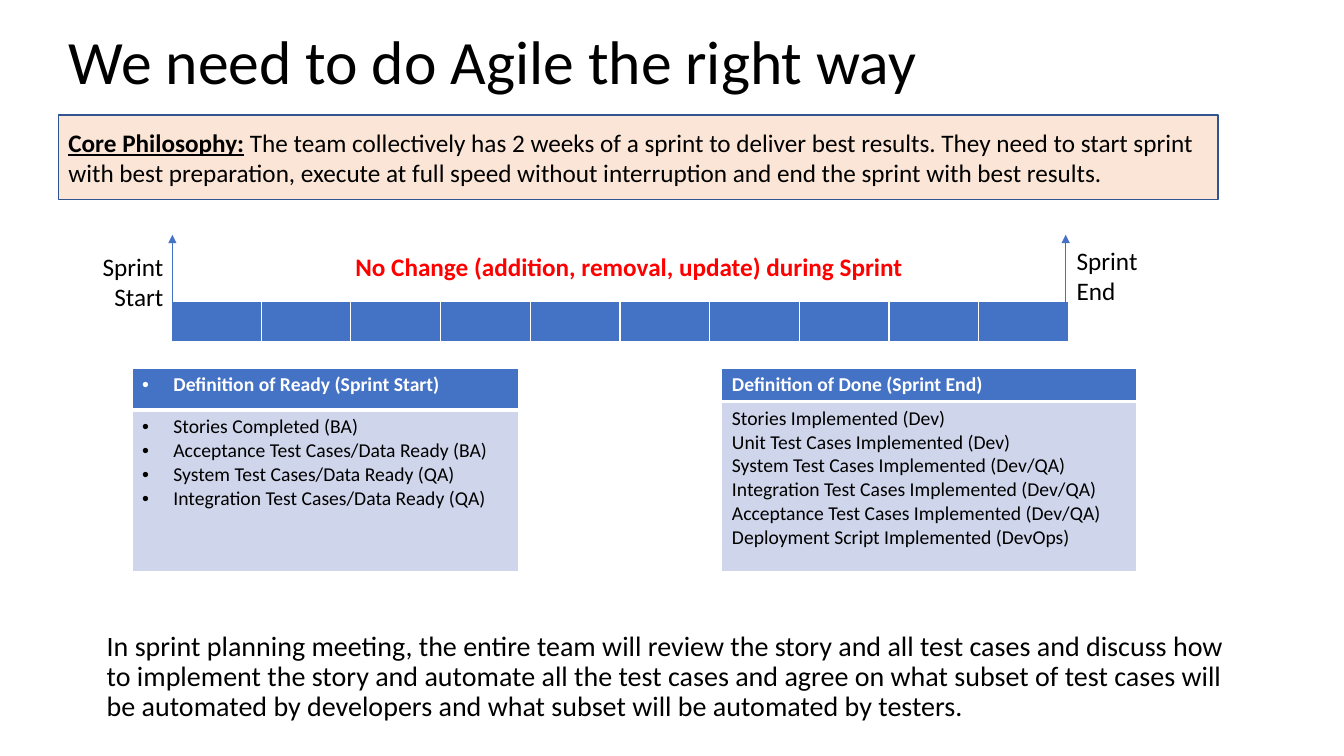
from lxml.etree import SubElement
from pptx import Presentation
from pptx.dml.color import RGBColor as RGB
from pptx.enum.shapes import MSO_CONNECTOR as LINE, MSO_SHAPE as SHAPE
from pptx.enum.text import MSO_ANCHOR as ANCHOR, PP_ALIGN as ALIGN
from pptx.oxml.ns import qn
from pptx.util import Inches, Pt

COLORS = {"text": "000000", "white": "FFFFFF", "warning": "FF0000", "blue": "4472C4",
          "body": "CFD5EA", "banner": "FBE5D6", "banner_line": "325491"}

TITLE = "We need to do Agile the right way"
PHILOSOPHY = ("Core Philosophy:",
              " The team collectively has 2 weeks of a sprint to deliver best results. "
              "They need to start sprint with best preparation, execute at full speed "
              "without interruption and end the sprint with best results.")
RULE = "No Change (addition, removal, update) during Sprint"
PLANNING = ("In sprint planning meeting, the entire team will review the story and all test "
            "cases and discuss how to implement the story and automate all the test cases "
            "and agree on what subset of test cases will be automated by developers and "
            "what subset will be automated by testers.")
MILESTONES = [  # words, label left, label top, arrow x, alignment
    (("Sprint", "Start"), 0.91, 2.44, 1.71, ALIGN.RIGHT),
    (("Sprint", "End"), 10.58, 2.38, 10.57, ALIGN.LEFT),
]
DEFINITIONS = [
    {"heading": "Definition of Ready (Sprint Start)",
     "items": ["Stories Completed (BA)", "Acceptance Test Cases/Data Ready (BA)",
               "System Test Cases/Data Ready (QA)", "Integration Test Cases/Data Ready (QA)"],
     "left": 1.31, "width": 3.83, "rows": [0.42, 1.6], "bulleted": True},
    {"heading": "Definition of Done (Sprint End)",
     "items": ["Stories Implemented (Dev)", "Unit Test Cases Implemented (Dev)",
               "System Test Cases Implemented (Dev/QA)",
               "Integration Test Cases Implemented (Dev/QA)",
               "Acceptance Test Cases Implemented (Dev/QA)",
               "Deployment Script Implemented (DevOps)"],
     "left": 7.16, "width": 4.11, "rows": [0.33, 1.69], "bulleted": False},
]
SPRINT_DAYS = 10
DAY_WIDTH = 0.89
ARROW_BOTTOM, ARROW_TOP = 3.05, 2.33
BORDERS = {"lnL": 1, "lnR": 1, "lnT": 1, "lnB": 1}
HEADER_BORDERS = BORDERS | {"lnB": 3}


def rgb(name):
    """Look up a named colour."""
    return RGB.from_string(COLORS[name])


def box(*lengths):
    """Turn left, top, width and height in inches into lengths."""
    return [Inches(length) for length in lengths]


def style(run, size, color="text", **extras):
    """Format one run of text."""
    for key, value in {"name": "Calibri", "size": Pt(size), **extras}.items():
        setattr(run.font, key, value)
    run.font.color.rgb = rgb(color)


def write(frame, lines, size, color="text", paragraph_format=None, **extras):
    """Write one paragraph per line and return the paragraphs."""
    for number, line in enumerate(lines):
        paragraph = frame.add_paragraph() if number else frame.paragraphs[0]
        for key, value in (paragraph_format or {}).items():
            setattr(paragraph, key, value)
        run = paragraph.add_run()
        run.text = line
        style(run, size, color, **extras)
    return frame.paragraphs


def add_text(place, lines, size, wrap=True, **formats):
    """Add a text box."""
    frame = slide.shapes.add_textbox(*box(*place)).text_frame
    frame.word_wrap = wrap
    write(frame, lines, size, **formats)


def add_bullet(paragraph):
    """Give a paragraph a hanging round bullet."""
    props = paragraph._p.get_or_add_pPr()
    indent = Inches(0.31)
    props.set("marL", str(indent))
    props.set("indent", str(-indent))
    SubElement(props, qn("a:buFont"), typeface="Arial")
    SubElement(props, qn("a:buChar"), char="•")


def paint(cell, fill, borders):
    """Give a cell white borders and a fill."""
    props = cell._tc.get_or_add_tcPr()
    for side, width in borders.items():
        line = SubElement(props, qn(f"a:{side}"), w=str(Pt(width)))
        solid = SubElement(line, qn("a:solidFill"))
        SubElement(solid, qn("a:srgbClr"), val=COLORS["white"])
    cell.fill.solid()
    cell.fill.fore_color.rgb = rgb(fill)


def add_grid(left, top, widths, heights):
    """Add a table without banding."""
    grid = slide.shapes.add_table(len(heights), len(widths),
                                  *box(left, top, sum(widths), sum(heights))).table
    grid.first_row = grid.horz_banding = False
    for column, width in zip(grid.columns, widths):
        column.width = Inches(width)
    for row, height in zip(grid.rows, heights):
        row.height = Inches(height)
    return grid


def add_arrow(x):
    """Add an upward arrow from the timeline."""
    arrow = slide.shapes.add_connector(LINE.STRAIGHT, *box(x, ARROW_BOTTOM, x, ARROW_TOP))
    arrow.line.color.rgb = rgb("blue")
    arrow.line.width = Pt(0.5)
    SubElement(arrow.line._get_or_add_ln(), qn("a:tailEnd"), type="triangle")
    SubElement(arrow._element.spPr, qn("a:effectLst"))


def add_definition(definition):
    """Add a table with a heading and its list of items."""
    grid = add_grid(definition["left"], 3.65, [definition["width"]], definition["rows"])
    parts = [([definition["heading"]], "white", True, "blue", HEADER_BORDERS),
             (definition["items"], "text", False, "body", BORDERS)]
    for row, (lines, color, bold, fill, borders) in enumerate(parts):
        cell = grid.cell(row, 0)
        paint(cell, fill, borders)
        for paragraph in write(cell.text_frame, lines, 14, color, bold=bold):
            if definition["bulleted"]:
                add_bullet(paragraph)


deck = Presentation()
deck.slide_width, deck.slide_height = Inches(13.33), Inches(7.5)
slide = deck.slides.add_slide(deck.slide_layouts[5])

title = slide.shapes.title
title.left, title.top, title.width, title.height = box(0.58, -0.08, 11.5, 1.45)
title.text_frame.vertical_anchor = ANCHOR.MIDDLE
write(title.text_frame, [TITLE], 44,
      paragraph_format={"alignment": ALIGN.LEFT, "line_spacing": 0.9})

add_text((0.96, 6.22, 11.35, 1.38), [PLANNING], 20,
         paragraph_format={"line_spacing": 0.9, "space_before": Pt(10)})

banner = slide.shapes.add_shape(SHAPE.RECTANGLE, *box(0.58, 1.14, 11.5, 0.84))
banner.shadow.inherit = False
banner.fill.solid()
banner.fill.fore_color.rgb = rgb("banner")
banner.line.color.rgb = rgb("banner_line")
banner.line.width = Pt(1)
banner.text_frame.word_wrap = True
banner.text_frame.vertical_anchor = ANCHOR.MIDDLE
label, statement = PHILOSOPHY
philosophy = write(banner.text_frame, [label], 18, bold=True, underline=True,
                   paragraph_format={"alignment": ALIGN.LEFT})[0]
statement_run = philosophy.add_run()
statement_run.text = statement
style(statement_run, 18)

timeline = add_grid(1.7, 2.99, [DAY_WIDTH] * SPRINT_DAYS, [0.41])
for day in timeline.iter_cells():
    paint(day, "blue", HEADER_BORDERS)

for words, left, top, arrow_x, alignment in MILESTONES:
    add_arrow(arrow_x)
    add_text((left, top, 0.81, 0.71), words, 18, wrap=False,
             paragraph_format={"alignment": alignment})

for definition in DEFINITIONS:
    add_definition(definition)

add_text((2.25, 2.44, 7.98, 0.4), [RULE], 18, color="warning", bold=True,
         paragraph_format={"alignment": ALIGN.CENTER})

deck.save("out.pptx")
